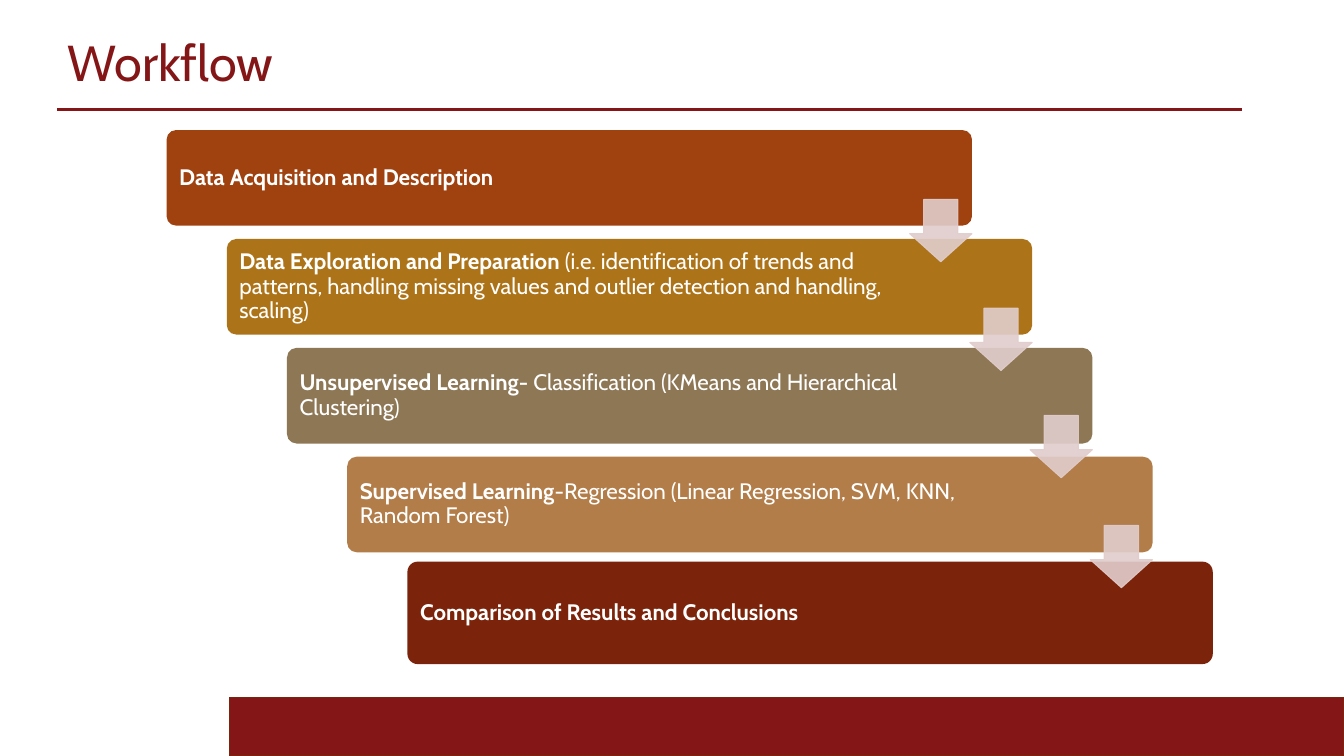
from lxml.etree import SubElement
from pptx import Presentation
from pptx.dml.color import RGBColor
from pptx.enum.shapes import MSO_CONNECTOR, MSO_SHAPE
from pptx.enum.text import MSO_ANCHOR, MSO_AUTO_SIZE, PP_ALIGN
from pptx.oxml.ns import qn
from pptx.util import Pt

TITLE = "Workflow"
STEPS = [
    ("Data Acquisition and Description", "", "rust"),
    ("Data Exploration and Preparation ",
     "(i.e. identification of trends and patterns, handling missing values "
     "and outlier detection and handling, scaling)", "ochre"),
    ("Unsupervised Learning- ",
     "Classification (KMeans and Hierarchical Clustering)", "khaki"),
    ("Supervised Learning",
     "-Regression (Linear Regression, SVM, KNN, Random Forest)", "tan"),
    ("Comparison of Results and Conclusions", "", "brown"),
]
COLORS = {
    "crimson": "841617", "edge": "7A240B", "white": "FFFFFF", "arrow": "E1CDCC",
    "rust": "A04210", "ochre": "AD7318", "khaki": "8E7755",
    "tan": "B27D49", "brown": "7C240B",
}
FONT = "Cabin"
STEP_LEFT, STEP_SHIFT, STEP_WIDTH = 119, 43, 575.3
STEP_TOPS = [92.9, 170.7, 248.5, 326.2, 401.2]
STEP_HEIGHTS = [68.3] * 4 + [73.2]
ARROW_TOPS = [142.5, 220.2, 296.8, 375.3]
ARROW_SIZE = 44.5


def color(name):
    return RGBColor.from_string(COLORS[name])


def add_box(page, kind, left, top, width, height, fill):
    box = page.shapes.add_shape(kind, Pt(left), Pt(top), Pt(width), Pt(height))
    box.shadow.inherit = False
    box.fill.solid()
    box.fill.fore_color.rgb = color(fill)
    box.line.fill.background()
    return box


def format_text(frame, size, name):
    frame.word_wrap = True
    frame.vertical_anchor = MSO_ANCHOR.MIDDLE
    para = frame.paragraphs[0]
    para.alignment = PP_ALIGN.LEFT
    para.line_spacing = 0.9
    para.font.name = FONT
    para.font.size = Pt(size)
    para.font.color.rgb = color(name)
    return para


def add_step(page, index):
    strong, plain, fill = STEPS[index]
    box = add_box(page, MSO_SHAPE.ROUNDED_RECTANGLE,
                  STEP_LEFT + index * STEP_SHIFT, STEP_TOPS[index],
                  STEP_WIDTH, STEP_HEIGHTS[index], fill)
    box.adjustments[0] = 0.1
    frame = box.text_frame
    frame.margin_left, frame.margin_right = Pt(7), Pt(94)
    frame.margin_top = frame.margin_bottom = Pt(5)
    para = format_text(frame, 16, "white")
    for text, bold in ((strong, True), (plain, False)):
        if text:
            span = para.add_run()
            span.text = text
            span.font.bold = bold


def add_arrow(page, index):
    left = STEP_LEFT + index * STEP_SHIFT + STEP_WIDTH - ARROW_SIZE
    arrow = add_box(page, MSO_SHAPE.DOWN_ARROW, left, ARROW_TOPS[index],
                    ARROW_SIZE, ARROW_SIZE, "arrow")
    arrow.adjustments[0] = 0.55
    arrow.adjustments[1] = 0.45
    arrow.line.color.rgb = color("arrow")
    arrow.line.width = Pt(0.75)
    for tint in arrow._element.spPr.iter(qn("a:srgbClr")):
        SubElement(tint, qn("a:alpha"), val="90000")


def main():
    deck = Presentation()
    deck.slide_width, deck.slide_height = Pt(960), Pt(540)
    page = deck.slides.add_slide(deck.slide_layouts[5])

    footer = add_box(page, MSO_SHAPE.RECTANGLE, 164, 498.2, 796, 41.8, "crimson")
    footer.line.color.rgb = color("edge")
    footer.line.width = Pt(0.85)

    rule = page.shapes.add_connector(
        MSO_CONNECTOR.STRAIGHT, Pt(41), Pt(78.2), Pt(887), Pt(78.2))
    rule.line.color.rgb = color("crimson")
    rule.line.width = Pt(2.5)
    SubElement(rule._element.spPr, qn("a:effectLst"))

    title = page.shapes.title
    title.left, title.top, title.width, title.height = Pt(41), Pt(21), Pt(843), Pt(51)
    title.text_frame.text = TITLE
    title.text_frame.auto_size = MSO_AUTO_SIZE.NONE
    format_text(title.text_frame, 36, "crimson")

    for index in range(len(STEPS)):
        add_step(page, index)
    for index in range(len(ARROW_TOPS)):
        add_arrow(page, index)

    deck.save("out.pptx")


if __name__ == "__main__":
    main()
